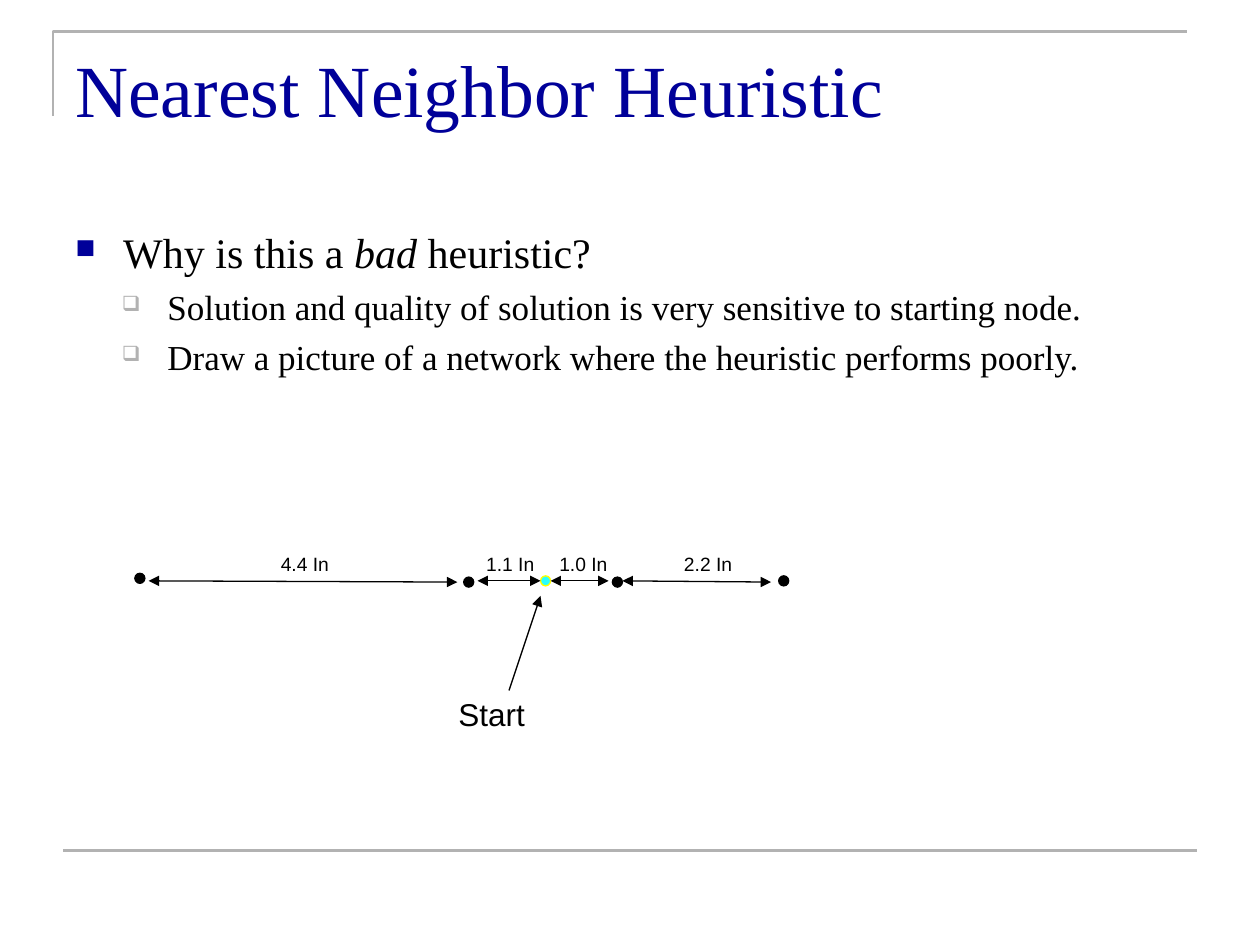
from lxml import etree
from pptx import Presentation
from pptx.dml.color import RGBColor
from pptx.enum.shapes import MSO_CONNECTOR, MSO_SHAPE
from pptx.oxml.ns import qn
from pptx.util import Inches, Pt

STRAIGHT = MSO_CONNECTOR.STRAIGHT
OVAL = MSO_SHAPE.OVAL

THEME = {
    "navy": "000099", "gray": "B2B2B2", "black": "000000",
    "cyan": "29FFFF", "yellow": "FFFF00",
    "serif": "Times New Roman", "sans": "Arial",
    "title": 42, "bullet": 24, "sub_bullet": 20, "label": 11, "start": 18,
    "frame_line": 1.5, "thin_line": 0.75,
}

TITLE = "Nearest Neighbor Heuristic"
BULLETS = [
    (0, [("Why is this a ", False), ("bad", True), (" heuristic?", False)]),
    (1, [("Solution and quality of solution is very sensitive to starting node.", False)]),
    (1, [("Draw a picture of a network where the heuristic performs poorly.", False)]),
]
LEVELS = [
    {"size": "bullet", "margin": 0.38, "indent": -0.38,
     "symbol": "■", "color": "navy", "percent": 65},
    {"size": "sub_bullet", "margin": 0.73, "indent": -0.36,
     "symbol": "❑", "color": "gray", "percent": 60},
]
NODE_SIZE = 0.08
NODES = [
    (1.07, 4.55, "black", "black"),
    (3.68, 4.58, "black", "black"),
    (4.29, 4.57, "cyan", "yellow"),
    (4.86, 4.58, "black", "black"),
    (6.18, 4.57, "black", "black"),
]
DISTANCES = [
    ("4.4 In", 2.13, (1.18, 4.61), (3.63, 4.62)),
    ("1.1 In", 3.76, (3.79, 4.61), (4.29, 4.61)),
    ("1.0 In", 4.34, (4.37, 4.61), (4.83, 4.61)),
    ("2.2 In", 5.33, (4.94, 4.61), (6.12, 4.62)),
]


def color(name):
    return RGBColor.from_string(THEME[name])


def add_line(slide, start, end, color_name, width, arrow_ends=()):
    points = [Inches(value) for value in (*start, *end)]
    connector = slide.shapes.add_connector(STRAIGHT, *points)
    connector.line.color.rgb = color(color_name)
    connector.line.width = Pt(THEME[width])
    properties = connector._element.spPr
    for arrow_end in arrow_ends:
        etree.SubElement(properties.find(qn("a:ln")), qn(arrow_end), type="triangle")
    etree.SubElement(properties, qn("a:effectLst"))


def add_text_frame(slide, left, top, width, height):
    box = slide.shapes.add_textbox(*[Inches(value) for value in (left, top, width, height)])
    box.text_frame.word_wrap = True
    return box.text_frame


def style_font(paragraph, face, size, color_name):
    paragraph.font.name = THEME[face]
    paragraph.font.size = Pt(THEME[size])
    paragraph.font.color.rgb = color(color_name)


def add_text(slide, text, area, face, size, color_name):
    frame = add_text_frame(slide, *area)
    frame.margin_right = 0
    paragraph = frame.paragraphs[0]
    paragraph.text = text
    style_font(paragraph, face, size, color_name)


def set_bullet(paragraph, level):
    properties = paragraph._p.get_or_add_pPr()
    properties.set("marL", str(Inches(level["margin"])))
    properties.set("indent", str(Inches(level["indent"])))
    bullet_color = etree.Element(qn("a:buClr"))
    etree.SubElement(bullet_color, qn("a:srgbClr"), val=THEME[level["color"]])
    bullet_size = etree.Element(qn("a:buSzPct"), val=str(level["percent"] * 1000))
    bullet_symbol = etree.Element(qn("a:buChar"), char=level["symbol"])
    default_font = properties.find(qn("a:defRPr"))
    for element in (bullet_color, bullet_size, bullet_symbol):
        default_font.addprevious(element)


def add_bullets(slide):
    frame = add_text_frame(slide, 0.5, 1.75, 9, 4.95)
    for index, (depth, runs) in enumerate(BULLETS):
        paragraph = frame.add_paragraph() if index else frame.paragraphs[0]
        level = LEVELS[depth]
        paragraph.level = depth
        paragraph.space_before = Pt(4.8)
        style_font(paragraph, "serif", level["size"], "black")
        set_bullet(paragraph, level)
        for text, italic in runs:
            run = paragraph.add_run()
            run.text = text
            if italic:
                run.font.italic = True


def add_frame(slide):
    builder = slide.shapes.build_freeform(Inches(0.42), Inches(0.92))
    corner = [(Inches(0.42), Inches(0.25)), (Inches(9.42), Inches(0.25))]
    builder.add_line_segments(corner, close=False)
    shape = builder.convert_to_shape()
    shape.shadow.inherit = False
    shape.fill.background()
    shape.line.color.rgb = color("gray")
    shape.line.width = Pt(THEME["frame_line"])
    add_line(slide, (0.5, 6.75), (9.5, 6.75), "gray", "frame_line")


def add_node(slide, left, top, fill, outline):
    size = Inches(NODE_SIZE)
    node = slide.shapes.add_shape(OVAL, Inches(left), Inches(top), size, size)
    node.shadow.inherit = False
    node.fill.solid()
    node.fill.fore_color.rgb = color(fill)
    node.line.color.rgb = color(outline)
    node.line.width = Pt(THEME["thin_line"])


def add_network(slide):
    for node in NODES:
        add_node(slide, *node)
    for label, left, start, end in DISTANCES:
        add_line(slide, start, end, "black", "thin_line", ("a:headEnd", "a:tailEnd"))
        add_text(slide, label, (left, 4.33, 0.58, 0.29), "sans", "label", "black")
    add_line(slide, (4.04, 5.48), (4.29, 4.73), "black", "thin_line", ("a:tailEnd",))
    add_text(slide, "Start", (3.54, 5.47, 0.87, 0.4), "sans", "start", "black")


def main():
    presentation = Presentation()
    presentation.slide_width = Inches(10)
    presentation.slide_height = Inches(7.5)
    slide = presentation.slides.add_slide(presentation.slide_layouts[6])
    add_frame(slide)
    add_text(slide, TITLE, (0.5, 0.3, 9, 1.25), "serif", "title", "navy")
    add_bullets(slide)
    add_network(slide)
    presentation.save("out.pptx")


if __name__ == "__main__":
    main()
